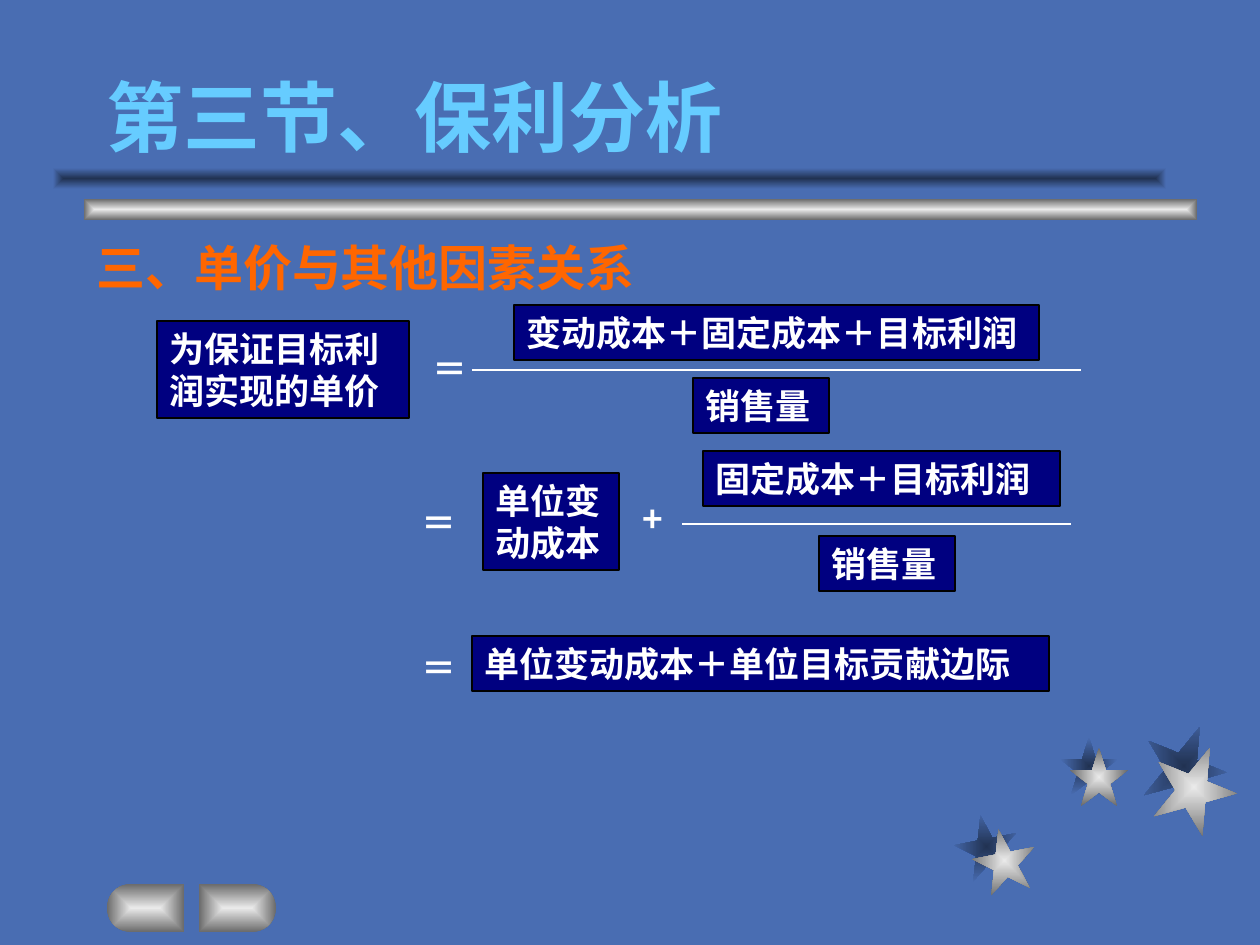
import math
import lxml.etree
import pptx
import pptx.dml.color
import pptx.enum.shapes
import pptx.enum.text
import pptx.oxml.ns
import pptx.util

RGB = pptx.dml.color.RGBColor
SKY = RGB(0x49, 0x6D, 0xB2)
DARK = RGB(0x21, 0x32, 0x52)
SILVER = RGB(0xEA, 0xEA, 0xEA)
GRAY = RGB(0x6B, 0x6B, 0x6B)
CYAN = RGB(0x66, 0xCC, 0xFF)
ORANGE = RGB(0xFF, 0x66, 0x00)
NAVY = RGB(0x00, 0x00, 0x80)
BLACK = RGB(0, 0, 0)
WHITE = RGB(0xFF, 0xFF, 0xFF)
METAL = (SILVER, GRAY)
SHADE = (DARK, SKY)
FONT = "Noto Sans CJK SC"
KIND = pptx.enum.shapes.MSO_SHAPE
ROW = 55  # height of a box with one line of text
TALL = 97  # height of a box with two lines


def px(n):
    return round(n * 914400 / 126)


def add_sub(node, tag, **attrs):
    return lxml.etree.SubElement(node, pptx.oxml.ns.qn(tag), **attrs)


def glow(shape, tones):
    """Fill with a gradient that runs from the centre to the edges."""
    shape.shadow.inherit = False
    shape.line.fill.background()
    shape.fill.gradient()
    for stop, tone in zip(shape.fill.gradient_stops, tones):
        stop.color.rgb = tone
    grad = shape._element.spPr.find(pptx.oxml.ns.qn("a:gradFill"))
    grad.remove(grad.find(pptx.oxml.ns.qn("a:lin")))
    ring = add_sub(grad, "a:path", path="rect")
    add_sub(ring, "a:fillToRect", l="50000", t="50000", r="50000", b="50000")


def write(shape, text, size, color, before=0):
    frame = shape.text_frame
    frame.word_wrap = True
    frame.auto_size = pptx.enum.text.MSO_AUTO_SIZE.NONE
    para = frame.paragraphs[0]
    para.alignment = pptx.enum.text.PP_ALIGN.LEFT
    para.space_before = pptx.util.Pt(before)
    run = para.add_run()
    run.text = text
    run.font.size = pptx.util.Pt(size)
    run.font.bold = True
    run.font.name = FONT
    run.font.color.rgb = color
    add_sub(run.font._element, "a:ea", typeface=FONT)
    return frame


def add_label(slide, text, x, y, w=63, h=ROW, size=20, color=WHITE, before=12.5):
    box = slide.shapes.add_textbox(px(x), px(y), px(w), px(h))
    write(box, text, size, color, before)


def add_term(slide, text, x, y, w, h=ROW):
    box = slide.shapes.add_shape(KIND.RECTANGLE, px(x), px(y), px(w), px(h))
    box.shadow.inherit = False
    box.fill.solid()
    box.fill.fore_color.rgb = NAVY
    box.line.color.rgb = BLACK
    box.line.width = pptx.util.Pt(1)
    frame = write(box, text, 20, WHITE, 12.5)
    frame.vertical_anchor = pptx.enum.text.MSO_ANCHOR.TOP


def add_frac(slide, x, y, w, top, base):
    """Fraction bar at x, y; each term is (text, dx, dy, width)."""
    bar = slide.shapes.add_connector(
        pptx.enum.shapes.MSO_CONNECTOR.STRAIGHT, px(x), px(y), px(x + w), px(y))
    bar.line.color.rgb = WHITE
    bar.line.width = pptx.util.Pt(1)
    add_sub(bar._element.spPr, "a:effectLst")
    for text, dx, dy, width in (top, base):
        add_term(slide, text, x + dx, y + dy, width)


def add_stars(slide, x, y):
    # dx, dy, size, turn, then the offset of the star from its shadow
    stars = [(0, 91, 63, 349, 18, 14), (105, 13, 58, 0, 10, 11),
             (187, 0, 84, 22, 10, 21)]
    for front, tones in enumerate((SHADE, METAL)):
        for dx, dy, size, turn, ox, oy in stars:
            star = slide.shapes.add_shape(
                KIND.STAR_5_POINT, px(x + dx + front * ox),
                px(y + dy + front * oy), px(size), px(size))
            star.rotation = turn
            glow(star, tones)


def add_bars(slide, x, y):
    for dx, dy, tones in ((31, 31, METAL), (0, 0, SHADE)):
        bar = slide.shapes.add_shape(
            KIND.RECTANGLE, px(x + dx), px(y + dy), px(1113), px(21))
        glow(bar, tones)


def add_button(slide, x, y, w, h, side):
    """Button with one round end: side -1 is left, 1 is right."""
    r = h / 2
    mid = x + w / 2
    flat = mid - side * w / 2
    hub = mid + side * (w / 2 - r)
    arc = [(hub + side * r * math.sin(a), y + r - r * math.cos(a))
           for a in (math.pi * i / 18 for i in range(19))]
    build = slide.shapes.build_freeform(px(flat), px(y))
    build.add_line_segments([(px(a), px(b)) for a, b in arc + [(flat, y + h)]])
    glow(build.convert_to_shape(), METAL)


def add_title(slide, x, y, w, h):
    title = slide.shapes.title
    title.left, title.top, title.width, title.height = map(px, (x, y, w, h))
    frame = write(title, "第三节、保利分析", 44, CYAN)
    frame.vertical_anchor = pptx.enum.text.MSO_ANCHOR.BOTTOM


def add_price(slide, x, y):
    """Unit price as a sum of costs and profit, in three steps."""
    # Total cost and profit over sales
    add_term(slide, "为保证目标利润实现的单价", x, y + 16, 252, TALL)
    add_label(slide, "＝", x + 263, y + 36)
    add_frac(slide, x + 315, y + 65, 609,
             ("变动成本＋固定成本＋目标利润", 42, -65, 525),
             ("销售量", 221, 8, 136))
    # Unit cost plus a fraction
    add_label(slide, "＝", x + 252, y + 190)
    add_term(slide, "单位变动成本", x + 326, y + 168, 136, TALL)
    add_label(slide, "+", x + 473, y + 186)
    add_frac(slide, x + 525, y + 219, 389,
             ("固定成本＋目标利润", 21, -73, 357),
             ("销售量", 137, 12, 136))
    # Unit cost plus unit margin
    add_label(slide, "＝", x + 252, y + 335)
    add_term(slide, "单位变动成本＋单位目标贡献边际", x + 315, y + 331, 577)


def main():
    deck = pptx.Presentation()
    deck.slide_width, deck.slide_height = px(1260), px(945)
    slide = deck.slides.add_slide(deck.slide_layouts[5])
    slide.background.fill.solid()
    slide.background.fill.fore_color.rgb = SKY
    # Decoration
    add_stars(slide, 955, 724)
    add_bars(slide, 53, 168)
    add_button(slide, 107, 884, 77, 48, -1)
    add_button(slide, 199, 884, 77, 48, 1)
    # Headings
    add_title(slide, 94, 73, 809, 95)
    add_label(slide, "三、单价与其他因素关系", 84, 231, 756, 72, 28, ORANGE, 17.5)
    add_price(slide, 157, 305)
    deck.save("out.pptx")


if __name__ == "__main__":
    main()
